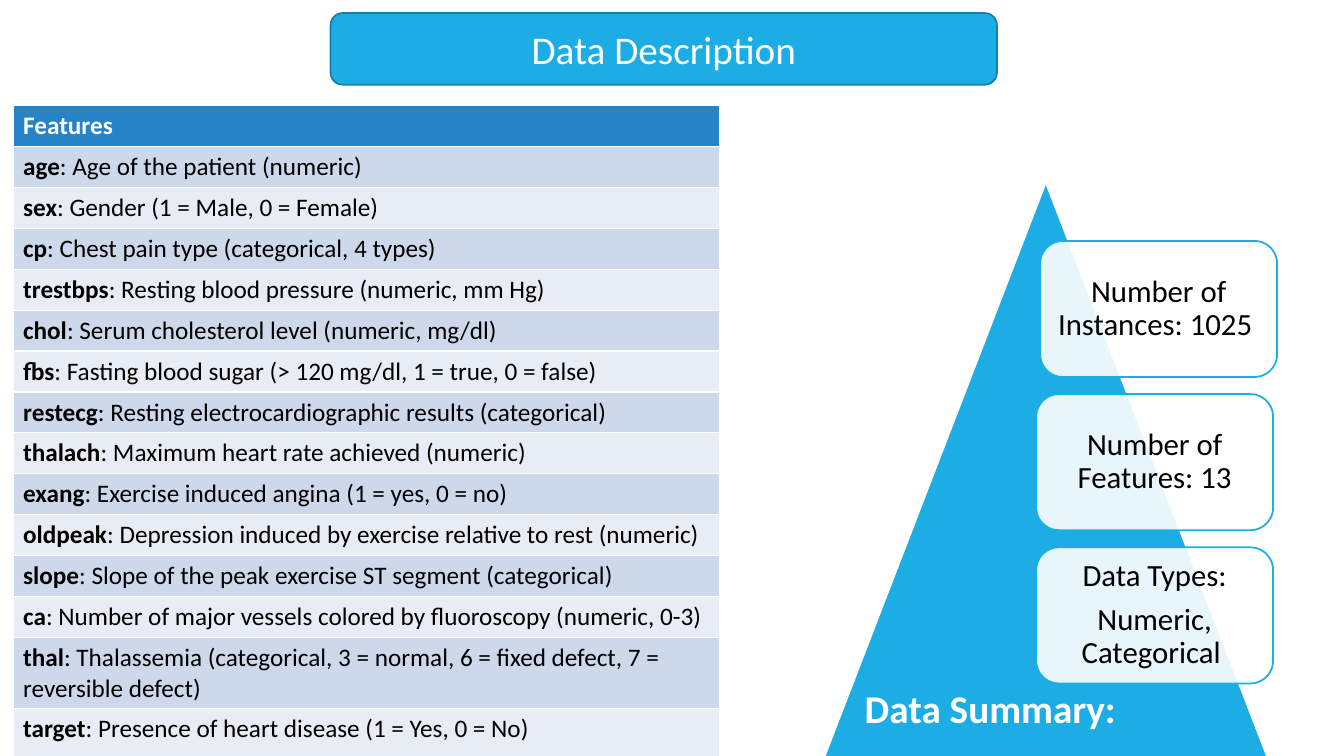
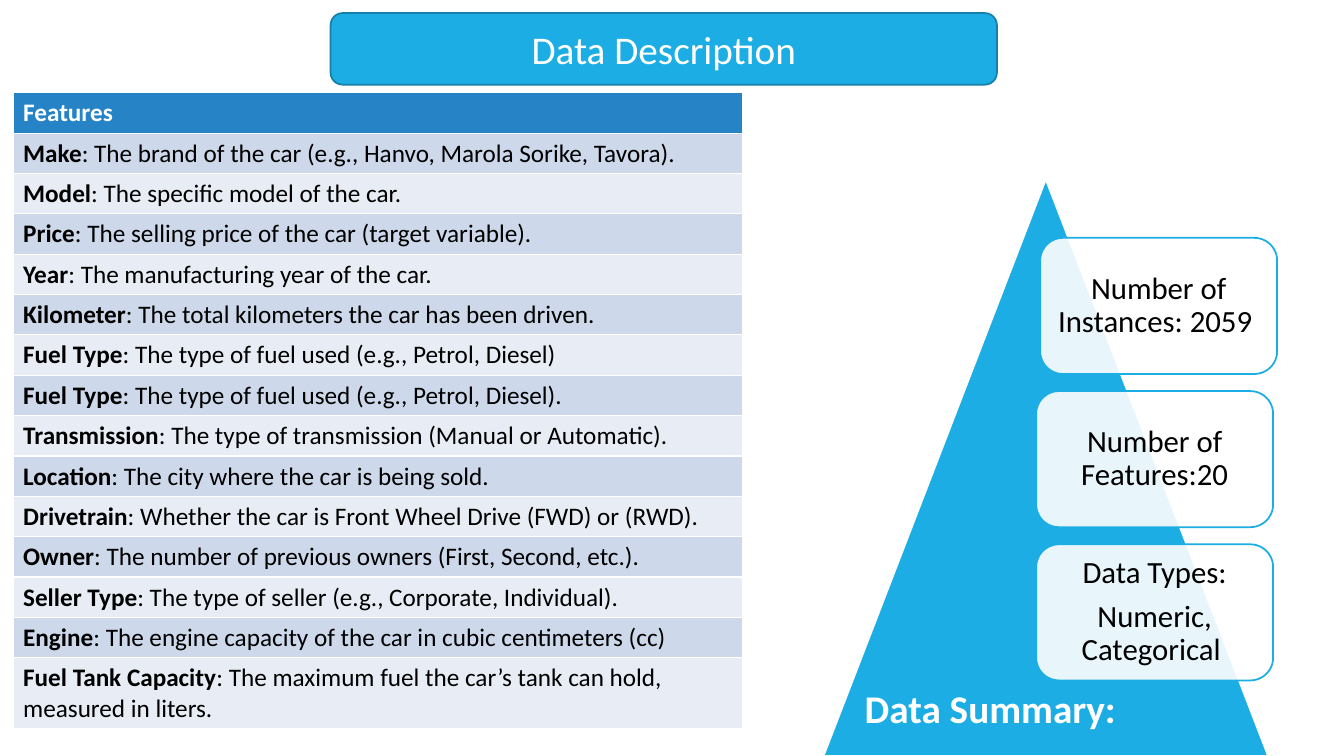
from lxml import etree
from pptx import Presentation
from pptx.dml.color import RGBColor
from pptx.enum.shapes import MSO_SHAPE
from pptx.enum.text import MSO_ANCHOR, PP_ALIGN
from pptx.oxml.ns import qn
from pptx.util import Inches, Pt

ROUNDED = MSO_SHAPE.ROUNDED_RECTANGLE
TRIANGLE = MSO_SHAPE.ISOSCELES_TRIANGLE
MIDDLE = MSO_ANCHOR.MIDDLE
CENTER = PP_ALIGN.CENTER
LEFT = PP_ALIGN.LEFT

SKY = RGBColor(0x1C, 0xAD, 0xE4)
TEAL = RGBColor(0x15, 0x80, 0xA9)
BLUE = RGBColor(0x26, 0x83, 0xC6)
BANDS = (RGBColor(0xCD, 0xD9, 0xEA), RGBColor(0xE8, 0xED, 0xF5))
WHITE = RGBColor(0xFF, 0xFF, 0xFF)
BLACK = RGBColor(0x00, 0x00, 0x00)
FONT = "Calibri"
COLUMNS, ROWS = 80, 45

HEART_FEATURES = [
    ("age", "Age of the patient (numeric)"),
    ("sex", "Gender (1 = Male, 0 = Female)"),
    ("cp", "Chest pain type (categorical, 4 types)"),
    ("trestbps", "Resting blood pressure (numeric, mm Hg)"),
    ("chol", "Serum cholesterol level (numeric, mg/dl)"),
    ("fbs", "Fasting blood sugar (> 120 mg/dl, 1 = true, 0 = false)"),
    ("restecg", "Resting electrocardiographic results (categorical)"),
    ("thalach", "Maximum heart rate achieved (numeric)"),
    ("exang", "Exercise induced angina (1 = yes, 0 = no)"),
    ("oldpeak", "Depression induced by exercise relative to rest (numeric)"),
    ("slope", "Slope of the peak exercise ST segment (categorical)"),
    ("ca", "Number of major vessels colored by fluoroscopy (numeric, 0-3)"),
    ("thal", "Thalassemia (categorical, 3 = normal, 6 = fixed defect, 7 = reversible defect)"),
    ("target", "Presence of heart disease (1 = Yes, 0 = No)"),
]
CAR_FEATURES = [
    ("Make", "The brand of the car (e.g., Hanvo, Marola Sorike, Tavora)."),
    ("Model", "The specific model of the car."),
    ("Price", "The selling price of the car (target variable)."),
    ("Year", "The manufacturing year of the car."),
    ("Kilometer", "The total kilometers the car has been driven."),
    ("Fuel Type", "The type of fuel used (e.g., Petrol, Diesel)"),
    ("Fuel Type", "The type of fuel used (e.g., Petrol, Diesel)."),
    ("Transmission", "The type of transmission (Manual or Automatic)."),
    ("Location", "The city where the car is being sold."),
    ("Drivetrain", "Whether the car is Front Wheel Drive (FWD) or (RWD)."),
    ("Owner", "The number of previous owners (First, Second, etc.)."),
    ("Seller Type", "The type of seller (e.g., Corporate, Individual)."),
    ("Engine", "The engine capacity of the car in cubic centimeters (cc)"),
    ("Fuel Tank Capacity", "The maximum fuel the car’s tank can hold, measured in liters."),
]


class DataDeck:
    """Draws styled data description pages on a grid of columns and rows."""

    def __init__(self):
        self.deck = Presentation()
        self.deck.slide_width = Inches(13.33)
        self.deck.slide_height = Inches(7.5)
        self.page = None

    def add_page(self):
        self.page = self.deck.slides.add_slide(self.deck.slide_layouts[6])

    def across(self, columns):
        return round(self.deck.slide_width * columns / COLUMNS)

    def down(self, rows):
        return round(self.deck.slide_height * rows / ROWS)

    def frame(self, left, top, width, height):
        return self.across(left), self.down(top), self.across(width), self.down(height)

    def style_span(self, span, size, color, bold=False):
        span.font.name = FONT
        span.font.size = Pt(size)
        span.font.color.rgb = color
        span.font.bold = bold

    def set_text(self, box, text, size, color, align, bold=False):
        box.text_frame.text = text
        box.text_frame.word_wrap = True
        for para in box.text_frame.paragraphs:
            para.alignment = align
            for span in para.runs:
                self.style_span(span, size, color, bold)

    def shape(self, kind, area, fill, line):
        box = self.page.shapes.add_shape(kind, *self.frame(*area))
        box.shadow.inherit = False
        box.fill.solid()
        box.fill.fore_color.rgb = fill
        box.line.color.rgb = line
        box.line.width = Pt(1.25)
        return box

    def title(self, text):
        box = self.shape(ROUNDED, (19.68, 0.78, 39.66, 4.26), SKY, TEAL)
        self.set_text(box, text, 28, WHITE, CENTER)
        box.text_frame.vertical_anchor = MIDDLE

    def feature_table(self, features, area, tail_heights):
        count = len(features) + 1
        table = self.page.shapes.add_table(count, 1, *self.frame(*area)).table
        plain_count = count - len(tail_heights)
        plain_height = (area[3] - sum(tail_heights)) / plain_count
        heights = [plain_height] * plain_count + tail_heights
        for row, height in zip(table.rows, heights):
            row.height = self.down(height)
        header = table.cell(0, 0)
        header.fill.solid()
        header.fill.fore_color.rgb = BLUE
        self.set_text(header, "Features", 18, WHITE, LEFT, True)
        for index, (name, meaning) in enumerate(features):
            cell = table.cell(index + 1, 0)
            cell.fill.solid()
            cell.fill.fore_color.rgb = BANDS[index % 2]
            para = cell.text_frame.paragraphs[0]
            for text, bold in ((name, True), (f": {meaning}", False)):
                span = para.add_run()
                span.text = text
                self.style_span(span, 18, BLACK, bold)

    def card(self, left, top, text):
        box = self.shape(ROUNDED, (left, top, 14.1, 8.1), WHITE, SKY)
        color = box.element.spPr.find(qn("a:solidFill"))[0]
        etree.SubElement(color, qn("a:alpha")).set("val", "90000")
        self.set_text(box, text, 22, BLACK, CENTER)
        words = box.text_frame
        words.vertical_anchor = MIDDLE
        words.margin_left = words.margin_right = Inches(0.09)
        words.margin_top = words.margin_bottom = Inches(0.09)
        for para in words.paragraphs:
            para.line_spacing = 0.9
            para.space_after = Pt(7.7)

    def summary(self, top, facts):
        self.shape(TRIANGLE, (49.02, top, 26.46, 34.32), SKY, WHITE)
        for index, fact in enumerate(facts):
            left = 61.68 if index else 61.92
            self.card(left, top + 3.48 + 9.12 * index, fact)
        label = self.page.shapes.add_textbox(*self.frame(50.88, 40.44, 21.24, 3.42))
        self.set_text(label, "Data Summary:", 28, WHITE, LEFT, True)


def main():
    style = DataDeck()
    types = "Data Types:\nNumeric, Categorical "
    pages = [
        (HEART_FEATURES, (0.78, 6.3, 42.06, 38.7), [4.2, 2.88], 10.86,
         ["Number of Instances: 1025 ", "Number of Features: 13", types]),
        (CAR_FEATURES, (0.78, 5.52, 43.44, 37.8), [4.14], 10.68,
         ["Number of Instances: 2059 ", "Number of Features:20", types]),
    ]
    for features, area, tail_heights, apex, facts in pages:
        style.add_page()
        style.title("Data Description")
        style.feature_table(features, area, tail_heights)
        style.summary(apex, facts)
    style.deck.save("out.pptx")


if __name__ == "__main__":
    main()
